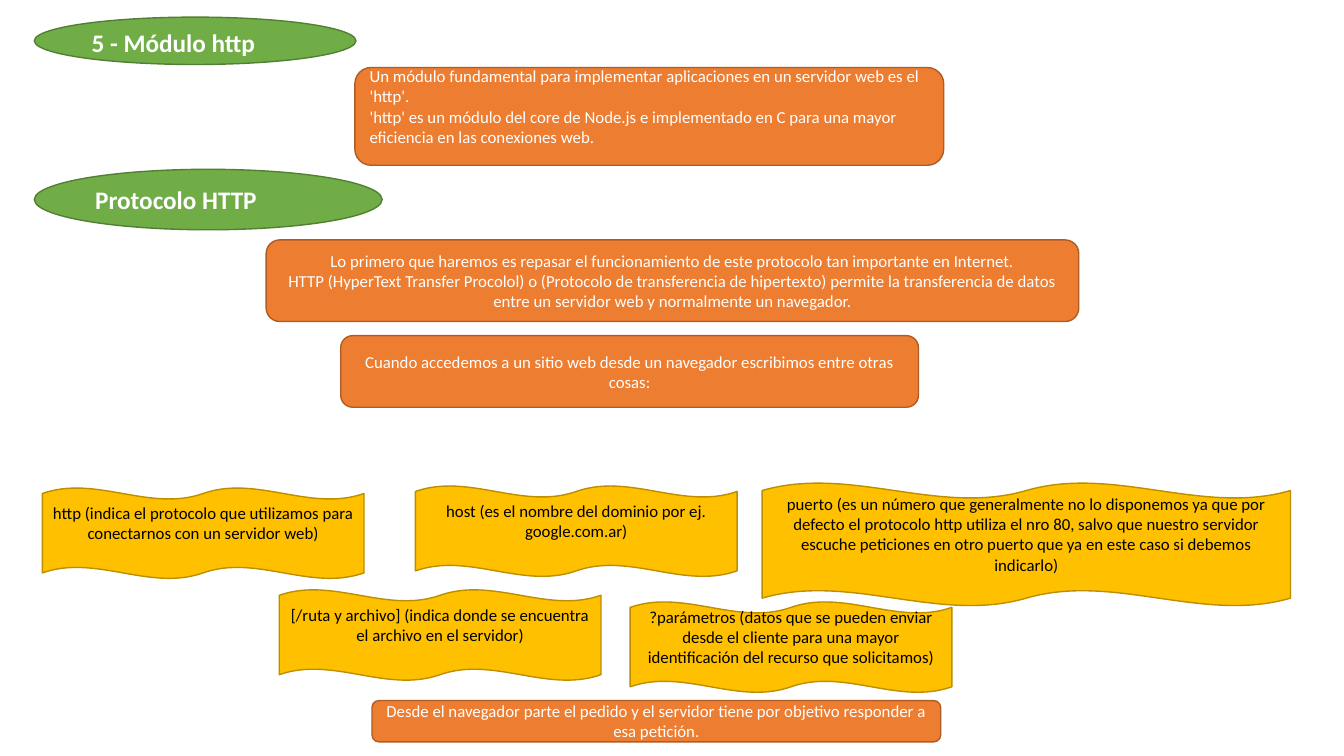
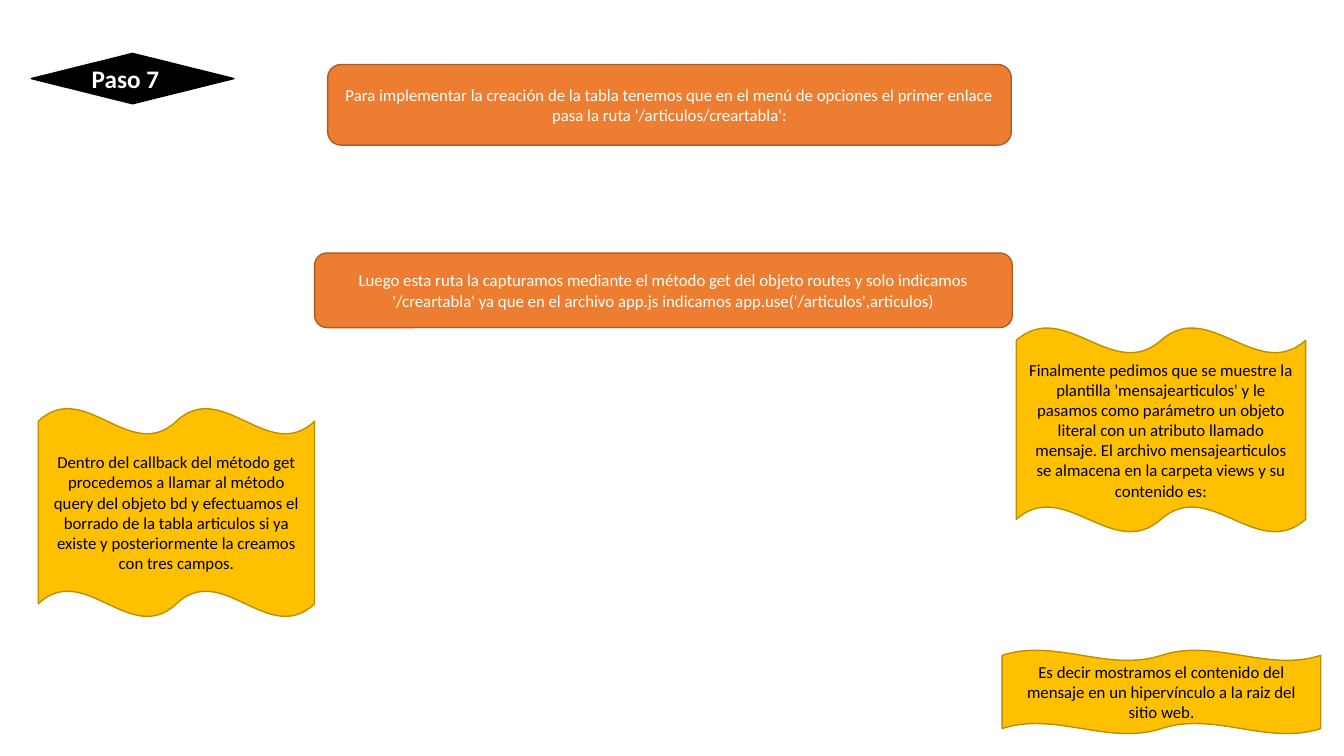
"""Builds two slides on the http module and on creating a table."""
from pptx import Presentation
from pptx.dml.color import RGBColor
from pptx.enum.shapes import MSO_SHAPE
from pptx.enum.text import MSO_ANCHOR, MSO_AUTO_SIZE, PP_ALIGN
from pptx.oxml.ns import qn
from pptx.util import Inches, Pt

ELLIPSE = MSO_SHAPE.OVAL
DIAMOND = MSO_SHAPE.FLOWCHART_DECISION
ROUNDED = MSO_SHAPE.ROUNDED_RECTANGLE
WAVE = MSO_SHAPE.DOUBLE_WAVE
MIDDLE = MSO_ANCHOR.MIDDLE
NO_FIT = MSO_AUTO_SIZE.NONE
LEFT = PP_ALIGN.LEFT
CENTER = PP_ALIGN.CENTER

COLORS = {
    "green": "70AD47", "green_edge": "527F34",
    "orange": "ED7D31", "orange_edge": "AF5C24",
    "gold": "FFC000", "gold_edge": "BC8E00",
    "black": "000000", "white": "FFFFFF",
}
FONT = "Calibri"
HEADING_SIZE = 18
BODY_SIZE = 12
LINE_HEIGHT = 0.2
INSET_X, INSET_Y = 0.1, 0.05


def rgb(name):
    """Return the named colour."""
    return RGBColor.from_string(COLORS[name])


def add_panel(slide, preset, box, fill, edge):
    """Add a filled and outlined preset shape."""
    panel = slide.shapes.add_shape(preset, *map(Inches, box))
    panel.shadow.inherit = False
    panel.fill.solid()
    panel.fill.fore_color.rgb = rgb(fill)
    panel.line.color.rgb = rgb(edge)
    panel.line.width = Pt(1)
    return panel


def write(holder, paragraphs, color, size=BODY_SIZE, bold=False, align=CENTER, lift=0):
    """Write paragraphs, raised by the given number of half lines."""
    frame = holder.text_frame
    frame.word_wrap = True
    frame.auto_size = NO_FIT
    frame.vertical_anchor = MIDDLE
    frame.margin_left = frame.margin_right = Inches(INSET_X)
    frame.margin_top = Inches(INSET_Y)
    frame.margin_bottom = Inches(INSET_Y + lift * LINE_HEIGHT)
    for index, text in enumerate(paragraphs):
        paragraph = frame.add_paragraph() if index else frame.paragraphs[0]
        paragraph.alignment = align
        for row, line in enumerate(text.split("\n")):
            if row:
                paragraph.add_line_break()
            run = paragraph.add_run()
            run.text = line
            run.font.name = FONT
            run.font.size = Pt(size)
            run.font.bold = bold
            run.font.color.rgb = rgb(color)


def add_statement(slide, box, *paragraphs, align=CENTER, lift=0):
    """Add an orange rounded box with white text."""
    statement = add_panel(slide, ROUNDED, box, "orange", "orange_edge")
    write(statement, paragraphs, "white", align=align, lift=lift)


def add_wave(slide, box, text, lift=0):
    """Add a golden wave with black text."""
    wave = add_panel(slide, WAVE, box, "gold", "gold_edge")
    write(wave, [text], "black", lift=lift)


def write_heading(holder, text):
    """Write a bold white heading."""
    write(holder, [text], "white", HEADING_SIZE, True, LEFT)


def add_titled_slide(deck, text, title_box, preset, badge_box, fill, edge):
    """Add a slide whose title stands on a coloured badge."""
    slide = deck.slides.add_slide(deck.slide_layouts[5])
    title = slide.shapes.title
    title.left, title.top, title.width, title.height = map(Inches, title_box)
    write_heading(title, text)
    badge = add_panel(slide, preset, badge_box, fill, edge)
    badge_element = badge.element
    badge_element.getparent().remove(badge_element)
    title.element.addprevious(badge_element)
    for style in badge_element.findall(qn("p:style")):
        badge_element.remove(style)
    return slide


def build_http_slide(deck):
    """Build the slide on the http module and protocol."""
    slide = add_titled_slide(deck, "5 - Módulo http", (0.81, 0.22, 2.25, 0.4),
                             ELLIPSE, (0.34, 0.17, 3.19, 0.47), "green", "green_edge")
    add_statement(
        slide, (3.52, 0.67, 5.84, 0.97),
        "Un módulo fundamental para implementar aplicaciones en un servidor web es el 'http'.",
        "'http' es un módulo del core de Node.js e implementado en C para una mayor "
        "eficiencia en las conexiones web.",
        align=LEFT, lift=1)
    protocol = add_panel(slide, ELLIPSE, (0.34, 1.68, 3.45, 0.6), "green", "green_edge")
    write_heading(protocol, "Protocolo HTTP")
    add_statement(
        slide, (2.64, 2.38, 8.06, 0.81),
        "Lo primero que haremos es repasar el funcionamiento de este protocolo tan "
        "importante en Internet.\nHTTP (HyperText Transfer Procolol) o (Protocolo de "
        "transferencia de hipertexto) permite la transferencia de datos entre un servidor "
        "web y normalmente un navegador.")
    add_statement(
        slide, (3.38, 3.33, 5.73, 0.71),
        "Cuando accedemos a un sitio web desde un navegador escribimos entre otras cosas:")
    part_size = (3.19, 0.9)
    url_parts = [
        ((6.25, 5.97, *part_size),
         "?parámetros (datos que se pueden enviar desde el cliente para una mayor "
         "identificación del recurso que solicitamos)"),
        ((2.77, 5.85, *part_size),
         "[/ruta y archivo] (indica donde se encuentra el archivo en el servidor)"),
        ((0.42, 4.84, *part_size),
         "http (indica el protocolo que utilizamos para conectarnos con un servidor web)"),
        ((4.12, 4.82, *part_size),
         "host (es el nombre del dominio por ej. google.com.ar)"),
        ((7.56, 4.79, 5.24, 1.22),
         "puerto (es un número que generalmente no lo disponemos ya que por defecto el "
         "protocolo http utiliza el nro 80, salvo que nuestro servidor escuche peticiones "
         "en otro puerto que ya en este caso si debemos indicarlo)"),
    ]
    for box, text in url_parts:
        add_wave(slide, box, text, lift=1)
    add_statement(
        slide, (3.69, 6.95, 5.64, 0.41),
        "Desde el navegador parte el pedido y el servidor tiene por objetivo responder a "
        "esa petición.")


def build_table_step_slide(deck):
    """Build the slide on the step that creates the table."""
    slide = add_titled_slide(deck, "Paso 7", (0.81, 0.58, 1.1, 0.4),
                             DIAMOND, (0.31, 0.53, 2.01, 0.5), "black", "black")
    add_statement(
        slide, (3.25, 0.64, 6.78, 0.8),
        "Para implementar la creación de la tabla tenemos que en el menú de opciones el "
        "primer enlace pasa la ruta '/articulos/creartabla':")
    add_statement(
        slide, (3.12, 2.51, 6.92, 0.74),
        "Luego esta ruta la capturamos mediante el método get del objeto routes y solo "
        "indicamos '/creartabla' ya que en el archivo app.js indicamos "
        "app.use('/articulos',articulos)")
    add_wave(
        slide, (0.38, 4.05, 2.74, 2.07),
        "Dentro del callback del método get procedemos a llamar al método query del objeto "
        "bd y efectuamos el borrado de la tabla articulos si ya existe y posteriormente la "
        "creamos con tres campos.")
    add_wave(
        slide, (10.08, 3.25, 2.87, 2.03),
        "Finalmente pedimos que se muestre la plantilla 'mensajearticulos' y le pasamos "
        "como parámetro un objeto literal con un atributo llamado mensaje. El archivo "
        "mensajearticulos se almacena en la carpeta views y su contenido es:")
    add_wave(
        slide, (9.94, 6.45, 3.16, 0.83),
        "Es decir mostramos el contenido del mensaje en un hipervínculo a la raiz del "
        "sitio web.")


def main():
    """Build and save the presentation."""
    deck = Presentation()
    deck.slide_width, deck.slide_height = Inches(13.33), Inches(7.5)
    build_http_slide(deck)
    build_table_step_slide(deck)
    deck.save("out.pptx")


if __name__ == "__main__":
    main()
